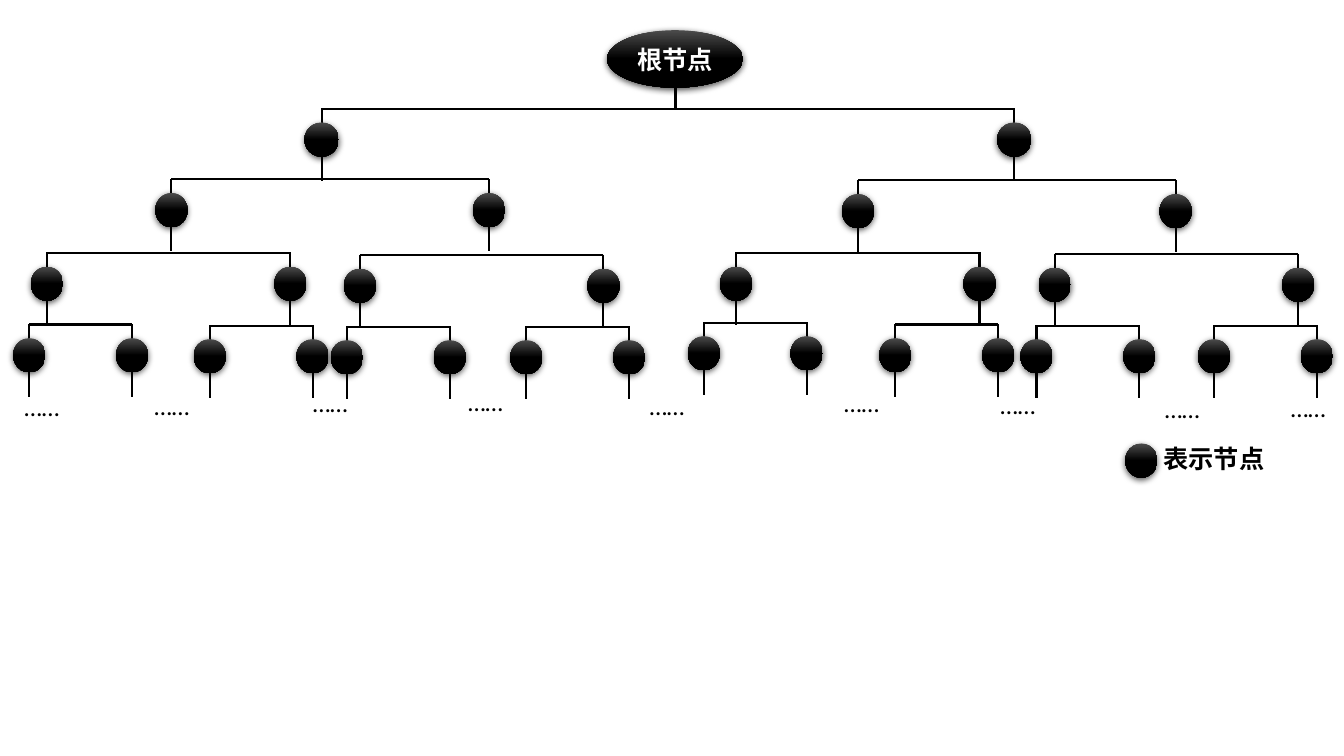
"""Draw a binary tree diagram with a root node, four levels and a legend."""
import copy

import lxml.etree
import pptx
import pptx.dml.color
import pptx.enum.shapes
import pptx.enum.text
import pptx.oxml.ns
import pptx.util

COLORS = {"line": "000000", "sheen": "4B4B4B", "node": "000000",
          "text": "000000", "light": "FFFFFF"}
CELL = pptx.util.Inches(0.1)
NODE_WIDTH, NODE_HEIGHT = 3.2, 3.4
NODE_DROP, STEM_LENGTH = 1.35, 7.15

LEVELS = [
    (68.7, [(31.9, 10.8)]),
    (31.5, [(17, 17.8), (85.1, 17.9)]),
    (24.15, [(4.65, 25.1), (35.7, 25.3), (73, 25.1), (104.6, 25.2)]),
    (10.2, [(2.9, 32.2), (20.8, 32.3), (34.4, 32.4), (52.2, 32.4),
            (69.8, 32), (88.8, 32.2), (102.8, 32.3), (120.4, 32.3)]),
]
ELLIPSES = [(-0.6, 39.1), (12.3, 39), (28, 38.7), (43.4, 38.6), (61.4, 39),
            (80.7, 38.7), (96.2, 38.9), (112.5, 39.3), (125, 39.2)]


def rgb(name):
    return pptx.dml.color.RGBColor.from_string(COLORS[name])


def write(shape, text, color="text", size=18, bold=False, font="Calibri"):
    frame = shape.text_frame
    frame.word_wrap = True
    frame.vertical_anchor = pptx.enum.text.MSO_ANCHOR.MIDDLE
    paragraph = frame.paragraphs[0]
    paragraph.alignment = pptx.enum.text.PP_ALIGN.CENTER
    run = paragraph.add_run()
    run.text = text
    run.font.size = pptx.util.Pt(size)
    run.font.bold = bold
    run.font.name = font
    run.font.color.rgb = rgb(color)


class TreeSlide:
    def __init__(self, slide):
        self.slide = slide
        self.line_width = pptx.util.Pt(1.5)

    def cells(self, *counts):
        return [round(count * CELL) for count in counts]

    def line(self, shapes, *ends):
        connector = shapes.add_connector(
            pptx.enum.shapes.MSO_CONNECTOR.STRAIGHT, *self.cells(*ends))
        connector.line.color.rgb = rgb("line")
        connector.line.width = self.line_width
        lxml.etree.SubElement(connector._element.spPr,
                              pptx.oxml.ns.qn("a:effectLst"))

    def node(self, shapes, *box):
        shape = shapes.add_shape(pptx.enum.shapes.MSO_SHAPE.OVAL, *self.cells(*box))
        shape.fill.gradient()
        shape.fill.gradient_angle = 270
        stops = shape.fill.gradient_stops
        for stop, color, position in zip(stops, ("sheen", "node"), (0, 0.5)):
            stop.color.rgb = rgb(color)
            stop.position = position
        stop_list = shape._element.spPr.find(".//" + pptx.oxml.ns.qn("a:gsLst"))
        last_stop = copy.deepcopy(stop_list[-1])
        last_stop.set("pos", "100000")
        stop_list.append(last_stop)
        shape.line.fill.background()
        self.shadow(shape)
        return shape

    def shadow(self, shape):
        shape.shadow.inherit = False
        qn = pptx.oxml.ns.qn
        effects = shape._element.spPr.find(qn("a:effectLst"))
        outer = lxml.etree.SubElement(
            effects, qn("a:outerShdw"), blurRad=str(pptx.util.Pt(4.5)),
            dist=str(pptx.util.Pt(1.5)), dir="5400000", algn="ctr", rotWithShape="0")
        color = lxml.etree.SubElement(outer, qn("a:srgbClr"), val=COLORS["node"])
        lxml.etree.SubElement(color, qn("a:alpha"), val="63000")

    def branch(self, left, bar, span, node_width):
        shapes = self.slide.shapes.add_group_shape().shapes
        sides = (left, left + span)
        self.line(shapes, left, bar, left + span, bar)
        for side in sides:
            self.line(shapes, side, bar - 0.05, side, bar + STEM_LENGTH)
        for side in sides:
            self.node(shapes, side - node_width / 2, bar + NODE_DROP,
                      node_width, NODE_HEIGHT)

    def label(self, text, *box, **text_format):
        write(self.slide.shapes.add_textbox(*self.cells(*box)), text, **text_format)


def main():
    presentation = pptx.Presentation()
    presentation.slide_width = pptx.util.Inches(13.33)
    presentation.slide_height = pptx.util.Inches(7.5)
    slide = presentation.slides.add_slide(presentation.slide_layouts[6])
    tree = TreeSlide(slide)

    root = tree.node(slide.shapes, 60.2, 3, 13.5, 5.7)
    write(root, "根节点", color="light", bold=True)
    for depth, (span, branches) in enumerate(LEVELS):
        node_width = NODE_WIDTH if depth else NODE_HEIGHT
        for left, bar in branches:
            tree.branch(left, bar, span, node_width)
    for left, top in ELLIPSES:
        tree.label("……", left, top, 9.5, 2.4)
    tree.line(slide.shapes, 67, 6.6, 67, 10.8)

    tree.node(slide.shapes, 111.6, 44, NODE_WIDTH, NODE_HEIGHT)
    tree.label("表示节点", 112.3, 43.1, 16.2, 4.8, bold=True)
    presentation.save("out.pptx")


if __name__ == "__main__":
    main()
